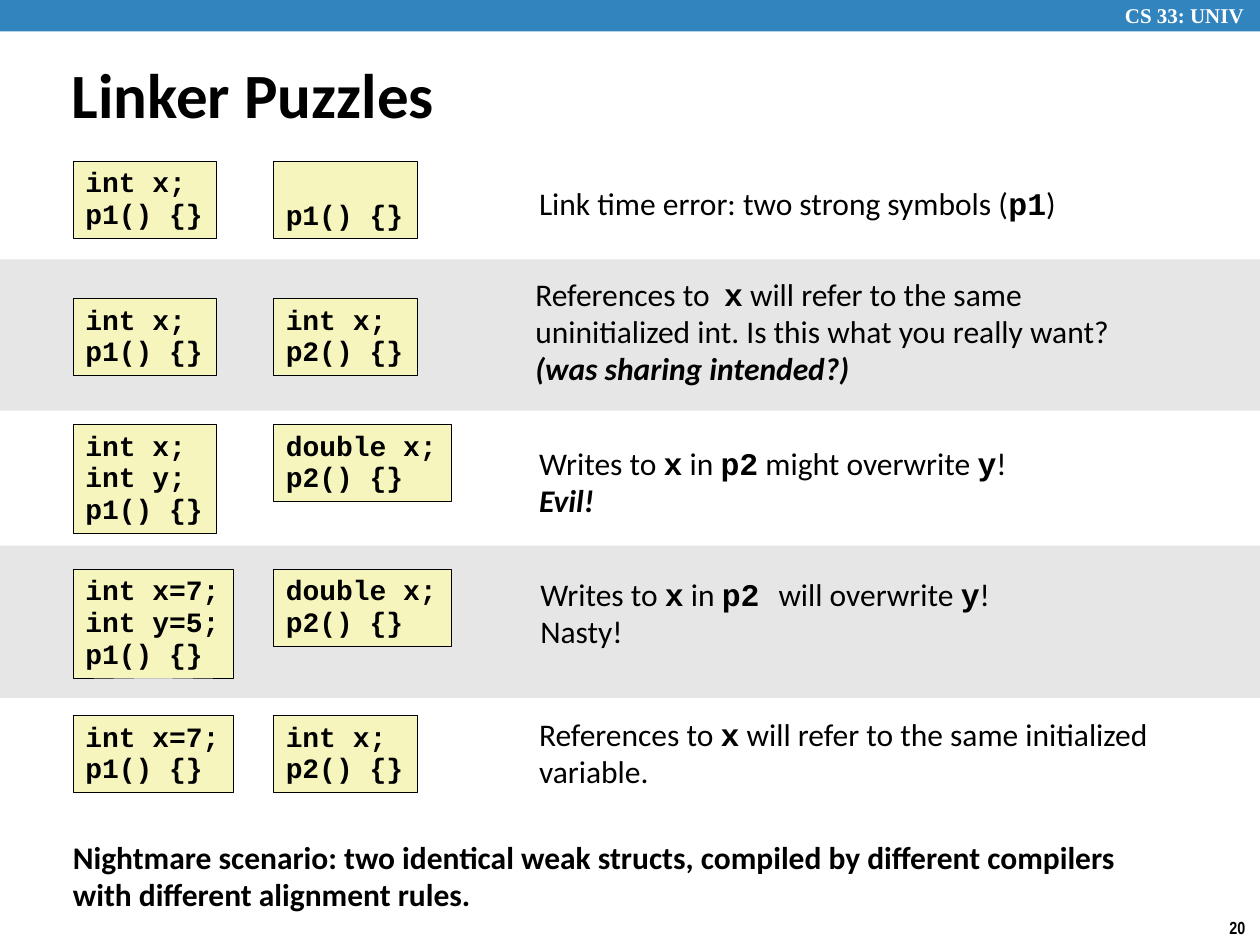
from pptx import Presentation
from pptx.dml.color import RGBColor
from pptx.enum.shapes import MSO_SHAPE
from pptx.enum.text import MSO_ANCHOR, MSO_AUTO_SIZE, PP_ALIGN
from pptx.util import Inches, Pt

BLACK, WHITE, BLUE = "000000", "FFFFFF", "3284BF"
BAND_GREY, CODE_YELLOW = "E6E6E6", "F6F5BD"
BODY_FONT, CODE_FONT = "Calibri", "Courier New"
LEFT_CODE, RIGHT_CODE = 0.58, 2.17

# Each puzzle: top of the code, left code, right code,
# place and size of the answer, answer lines.
# In the answers, `marks` enclose code and a leading * means emphasis.
PUZZLES = [
    (1.28, ["int x;", "p1() {}"], ["p1() {}"], (4.18, 1.43, 4.43, 0.4),
     ["Link time error: two strong symbols (`p1`)"]),
    (2.37, ["int x;", "p1() {}"], ["int x;", "p2() {}"], (4.15, 2.15, 4.81, 0.99),
     ["References to  `x` will refer to the same ",
      "uninitialized int. Is this what you really want?",
      "*(was sharing intended?)"]),
    (3.37, ["int x;", "int y;", "p1() {}"], ["double x;", "p2() {}"],
     (4.18, 3.49, 3.95, 0.7),
     ["Writes to `x` in `p2` might overwrite `y`!", "*Evil!"]),
    (4.52, ["int x=7;", "int y=5;", "p1() {}"], ["double x;", "p2() {}"],
     (4.19, 4.53, 3.8, 0.7),
     ["Writes to `x` in `p2 `will overwrite `y`!", "Nasty! "]),
    (5.68, ["int x=7;", "p1() {}"], ["int x;", "p2() {}"], (4.18, 5.64, 5.09, 0.7),
     ["References to `x` will refer to the same initialized", "variable."]),
]


def color(value):
    return RGBColor.from_string(value)


def format_span(span, size, font=BODY_FONT, ink=BLACK, bold=False, italic=False):
    span.font.size = Pt(size)
    span.font.name = font
    span.font.color.rgb = color(ink)
    span.font.bold = bold
    span.font.italic = italic


def add_rectangle(slide, left, top, width, height, fill):
    box = slide.shapes.add_shape(MSO_SHAPE.RECTANGLE, Inches(left), Inches(top),
                                 Inches(width), Inches(height))
    box.shadow.inherit = False
    box.fill.solid()
    box.fill.fore_color.rgb = color(fill)
    box.line.fill.background()
    return box


def add_text_box(slide, left, top, width, height, wrap=False):
    box = slide.shapes.add_textbox(Inches(left), Inches(top),
                                   Inches(width), Inches(height))
    box.text_frame.word_wrap = wrap
    return box.text_frame


def add_label(slide, left, top, width, height, text, size, font, ink):
    frame = add_text_box(slide, left, top, width, height)
    frame.text = text
    format_span(frame.paragraphs[0].runs[0], size, font, ink, bold=True)


def add_code(slide, left, top, lines):
    """Code box whose width follows its longest line."""
    longest = max(len(line) for line in lines)
    width = round(0.2 + 0.134 * longest, 2)
    height = 0.86 if len(lines) == 3 else 0.61
    box = add_rectangle(slide, left, top, width, height, CODE_YELLOW)
    box.line.color.rgb = color(BLACK)
    box.line.width = Pt(0.26)
    frame = box.text_frame
    frame.word_wrap = False
    frame.vertical_anchor = MSO_ANCHOR.BOTTOM if len(lines) == 1 else MSO_ANCHOR.TOP
    frame.text = "\n".join(lines)
    for para in frame.paragraphs:
        para.alignment = PP_ALIGN.LEFT
        para.line_spacing = 0.94
        format_span(para.runs[0], 16, CODE_FONT, bold=True)


def add_statement(slide, place, lines, bold=False):
    frame = add_text_box(slide, *place)
    for number, line in enumerate(lines):
        para = frame.add_paragraph() if number else frame.paragraphs[0]
        para.line_spacing = 0.98
        emphasis = line.startswith("*")
        for position, piece in enumerate(line.lstrip("*").split("`")):
            is_code = position % 2 == 1
            span = para.add_run()
            span.text = piece
            format_span(span, 18, CODE_FONT if is_code else BODY_FONT,
                        bold=bold or emphasis or is_code, italic=emphasis)


def set_title(slide, text):
    title = slide.shapes.title
    title.left, title.top = Inches(0.47), Inches(0.31)
    title.width, title.height = Inches(9.53), Inches(0.86)
    frame = title.text_frame
    frame.text = text
    frame.auto_size = MSO_AUTO_SIZE.NONE
    frame.vertical_anchor = MSO_ANCHOR.MIDDLE
    frame.paragraphs[0].alignment = PP_ALIGN.LEFT
    format_span(frame.paragraphs[0].runs[0], 36, bold=True)


def main():
    deck = Presentation()
    deck.slide_width, deck.slide_height = Inches(10), Inches(7.5)
    page = deck.slides.add_slide(deck.slide_layouts[5])

    # Header and page number
    add_rectangle(page, 0, 0, 10, 0.25, BLUE)
    add_label(page, 8.83, -0.03, 1.24, 0.3, "CS 33: UNIV", 12, "Times New Roman", WHITE)
    add_label(page, 9.66, 7.23, 0.34, 0.27, "20", 10, "Arial Narrow", BLACK)

    # Bands behind every second puzzle
    for top, height in ((2.06, 1.2), (4.33, 1.21)):
        add_rectangle(page, 0, top, 10, height, BAND_GREY)

    # Title and puzzles
    set_title(page, "Linker Puzzles")
    for top, left_lines, right_lines, place, answer in PUZZLES:
        add_code(page, LEFT_CODE, top, left_lines)
        add_code(page, RIGHT_CODE, top, right_lines)
        add_statement(page, place, answer)

    # Closing remark
    add_statement(page, (0.48, 6.62, 8.54, 0.7), [
        "Nightmare scenario: two identical weak structs, compiled by different compilers",
        "with different alignment rules. "], bold=True)

    deck.save("out.pptx")


main()
